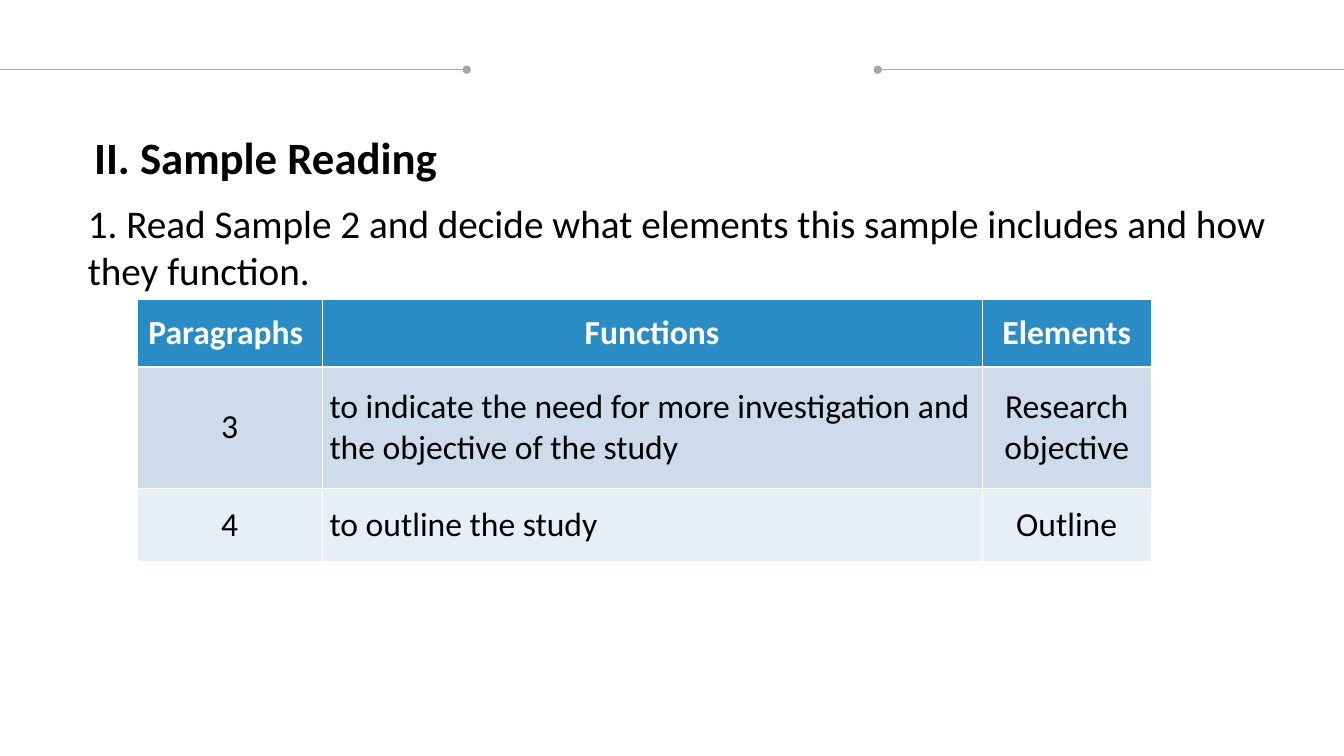
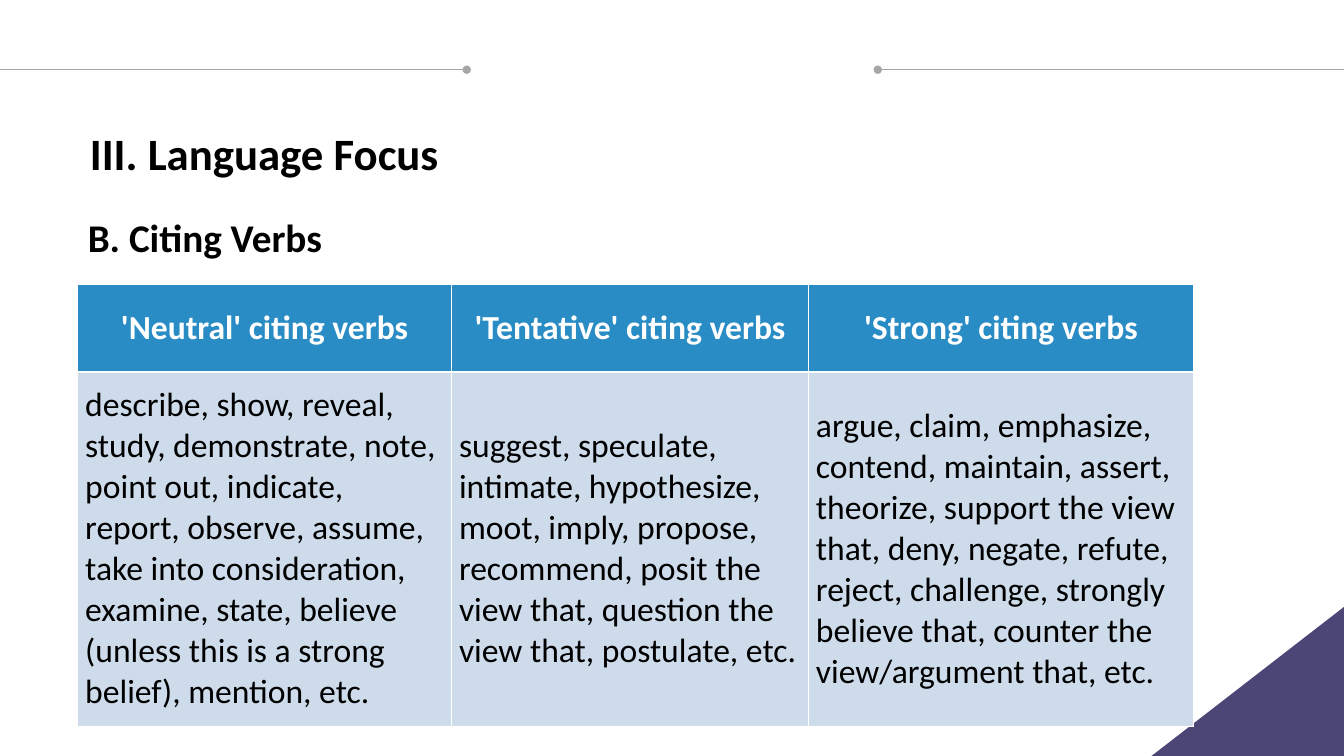
from lxml.etree import SubElement
from pptx import Presentation
from pptx.dml.color import RGBColor
from pptx.enum.shapes import MSO_CONNECTOR as Connector
from pptx.enum.text import MSO_ANCHOR as Anchor, MSO_AUTO_SIZE as AutoSize, PP_ALIGN as Align
from pptx.oxml.ns import qn
from pptx.util import Pt

WIDTH, HEIGHT = 960, 540
COLORS = {
    "paper": "FFFFFF", "text": "000000", "rule": "A6A6A6", "corner": "4C4676",
    "header": "298CC5", "odd": "CDDBEA", "even": "E8EEF5",
}
RULES = [(0, 333.4, "tailEnd"), (627, WIDTH, "headEnd")]
RULE_TOP = 49.8
CORNER = [(WIDTH, 433.5), (WIDTH, HEIGHT), (822.5, HEIGHT)]
CELL_INSET = 5.4
THIN, THICK = 0.45, 1.47
ALIGNS = {"l": Align.LEFT, "c": Align.CENTER}
TITLE = {"size": Pt(32), "bold": True}
CELL = {"size": Pt(24), "bold": False}
HEADER = {"size": Pt(24), "bold": True}

SLIDES = [
    {
        "title": ("II. Sample Reading", (60, 89.3, 260, 46)),
        "body": (
            "1. Read Sample 2 and decide what elements this sample includes and how they function.",
            (55.5, 139, 857, 75),
        ),
        "body_format": {"size": Pt(28), "bold": False},
        "corner": False,
        "table": {
            "at": (98, 214),
            "columns": [132, 471.5, 121],
            "rows": [48, 86.5, 52.5],
            "align": "clc",
            "cells": [
                ["Paragraphs ", "Functions", "Elements"],
                [
                    "3",
                    "to indicate the need for more investigation and the objective of the study",
                    "Research objective",
                ],
                ["4", "to outline the study", "Outline"],
            ],
        },
    },
    {
        "title": ("III. Language Focus", (57, 86.4, 264, 46)),
        "body": ("B. Citing Verbs", (55.5, 149, 857, 41)),
        "body_format": {"size": Pt(28), "bold": True},
        "corner": True,
        "table": {
            "at": (55.5, 203),
            "columns": [267, 255, 275],
            "rows": [62.5, 253],
            "align": "lll",
            "cells": [
                ["'Neutral' citing verbs", "'Tentative' citing verbs", "'Strong' citing verbs"],
                [
                    "describe, show, reveal, study, demonstrate, note, point out, indicate, "
                    "report, observe, assume, take into consideration, examine, state, believe "
                    "(unless this is a strong belief), mention, etc.",
                    "suggest, speculate, intimate, hypothesize, moot, imply, propose, recommend, "
                    "posit the view that, question the view that, postulate, etc.",
                    "argue, claim, emphasize, contend, maintain, assert, theorize, support the "
                    "view that, deny, negate, refute, reject, challenge, strongly believe that, "
                    "counter the view/argument that, etc.",
                ],
            ],
        },
    },
]


def rgb(name):
    return RGBColor.from_string(COLORS[name])


def paint(item, color):
    item.fill.solid()
    item.fill.fore_color.rgb = rgb(color)


def write(frame, text, font, color="text", align=Align.LEFT, before=0):
    para = frame.paragraphs[0]
    para.alignment = align
    para.space_before = Pt(before)
    span = para.add_run()
    span.text = text
    for name, value in {"name": "Calibri", **font}.items():
        setattr(span.font, name, value)
    span.font.color.rgb = rgb(color)
    return para


def fill_placeholder(box, content, font, wrap, before=0):
    text, place = content
    for name, value in zip(("left", "top", "width", "height"), place):
        setattr(box, name, Pt(value))
    frame = box.text_frame
    settings = {"word_wrap": wrap, "auto_size": AutoSize.NONE, "vertical_anchor": Anchor.TOP}
    for name, value in settings.items():
        setattr(frame, name, value)
    return write(frame, text, font, before=before)


def remove_bullet(para):
    properties = para._p.get_or_add_pPr()
    properties.set("marL", "0")
    properties.set("indent", "0")
    SubElement(properties, qn("a:buNone"))


def add_rules(page):
    for start, end, dot in RULES:
        rule = page.shapes.add_connector(
            Connector.STRAIGHT, Pt(start), Pt(RULE_TOP), Pt(end), Pt(RULE_TOP)
        )
        rule.line.color.rgb = rgb("rule")
        rule.line.width = Pt(0.5)
        SubElement(rule.get_or_add_ln(), qn(f"a:{dot}"), type="oval")
        SubElement(rule.element.spPr, qn("a:effectLst"))


def add_corner(page):
    start, *others = [(Pt(x), Pt(y)) for x, y in CORNER]
    builder = page.shapes.build_freeform(*start)
    builder.add_line_segments(others, close=True)
    corner = builder.convert_to_shape()
    corner.shadow.inherit = False
    paint(corner, "corner")
    corner.line.fill.background()


def add_borders(cell, row):
    properties = cell._tc.get_or_add_tcPr()
    widths = {
        "lnL": THIN,
        "lnR": THIN,
        "lnT": THICK if row == 1 else THIN,
        "lnB": THICK if row == 0 else THIN,
    }
    for side, width in widths.items():
        border = SubElement(properties, qn(f"a:{side}"), w=str(int(Pt(width))))
        solid = SubElement(border, qn("a:solidFill"))
        SubElement(solid, qn("a:srgbClr"), val=COLORS["paper"])


def add_grid(page, spec_table):
    columns, rows = spec_table["columns"], spec_table["rows"]
    place = (*spec_table["at"], sum(columns), sum(rows))
    table = page.shapes.add_table(len(rows), len(columns), *map(Pt, place)).table
    for column, width in zip(table.columns, columns):
        column.width = Pt(width)
    for line, height in zip(table.rows, rows):
        line.height = Pt(height)
    for row, texts in enumerate(spec_table["cells"]):
        for column, text in enumerate(texts):
            cell = table.cell(row, column)
            cell.vertical_anchor = Anchor.MIDDLE
            cell.margin_left = cell.margin_right = Pt(CELL_INSET)
            add_borders(cell, row)
            if row == 0:
                paint(cell, "header")
                write(cell.text_frame, text, HEADER, "paper", Align.CENTER)
            else:
                paint(cell, "odd" if row % 2 else "even")
                write(cell.text_frame, text, CELL, align=ALIGNS[spec_table["align"][column]])


def main():
    deck = Presentation()
    deck.slide_width, deck.slide_height = Pt(WIDTH), Pt(HEIGHT)
    for content in SLIDES:
        page = deck.slides.add_slide(deck.slide_layouts[1])
        title, body = page.placeholders
        fill_placeholder(title, content["title"], TITLE, wrap=False)
        para = fill_placeholder(body, content["body"], content["body_format"], wrap=True, before=6)
        remove_bullet(para)
        paint(body, "paper")
        add_rules(page)
        if content["corner"]:
            add_corner(page)
        add_grid(page, content["table"])
    deck.save("out.pptx")


if __name__ == "__main__":
    main()
